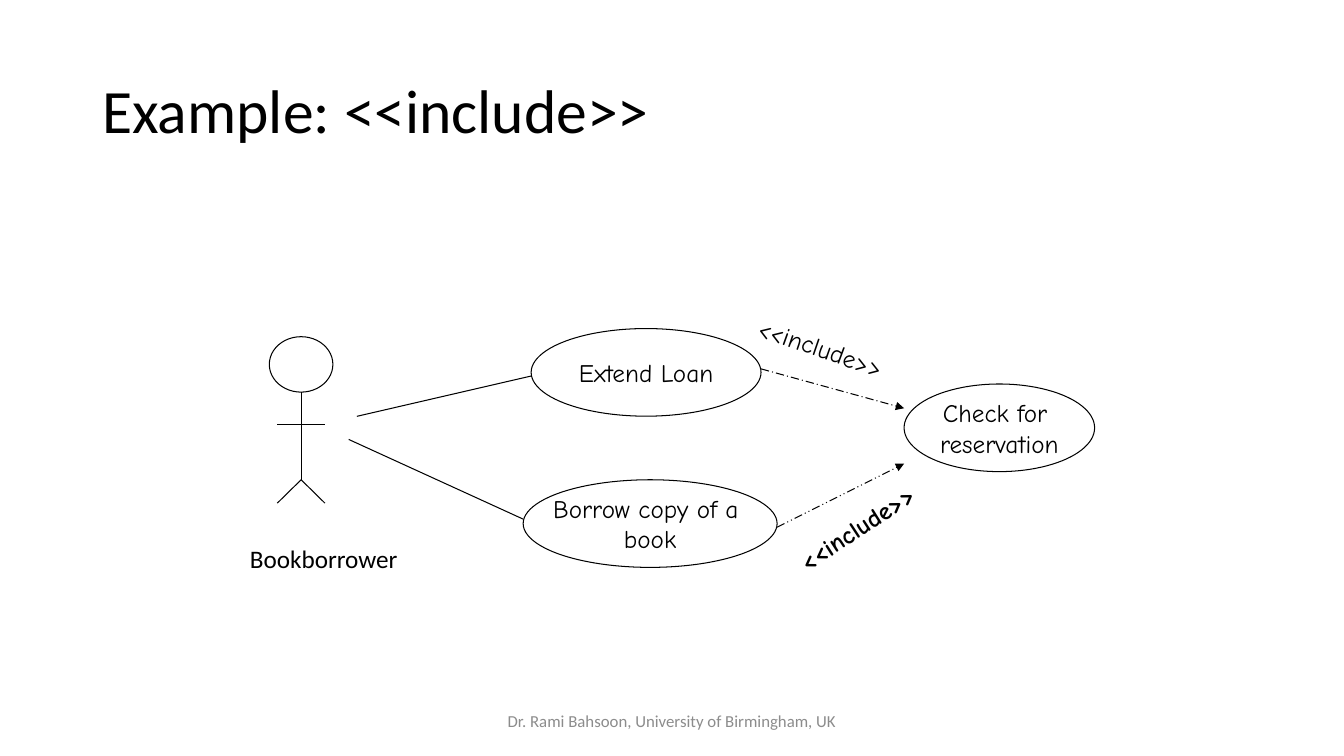
from lxml.etree import SubElement
from pptx import Presentation
from pptx.dml.color import RGBColor
from pptx.enum.dml import MSO_LINE
from pptx.enum.shapes import MSO_CONNECTOR, MSO_SHAPE
from pptx.enum.text import MSO_ANCHOR, MSO_AUTO_SIZE, PP_ALIGN
from pptx.oxml.ns import qn
from pptx.util import Pt

# Content: boxes are left, top, width, height in points
BLACK, WHITE, GREY = "000000", "FFFFFF", "8C8C8C"
HAND = {"name": "Comic Neue", "size": Pt(18)}
BODY = {"name": "Calibri", "size": Pt(18)}
TITLE = ("Example: <<include>>", (66, 28.8, 828, 104.4))
FOOTER = ("Dr. Rami Bahsoon, University of Birmingham, UK", (318, 500.4, 324, 28.8))
LABELS = [
    ("<<include>>", (557.3, 360, 117.4, 28.8), 326.7, HAND | {"bold": True}),
    ("<<include>>", (533, 235, 112, 28.8), 19.1, HAND),
    ("Bookborrower", (171.4, 384.5, 121, 28.8), 0, BODY),
]
CASE_HEIGHT = 62.6
USE_CASES = [
    (["Extend Loan"], 379.4, 234.7, 164.2),
    (["Borrow copy of a ", "book"], 373.7, 342.7, 181.4),
    (["Check for ", "reservation"], 645.8, 274.3, 136.1),
]
ASSOCIATIONS = [((254.9, 297.4), (379.4, 268.6)), ((249.1, 313.9), (373.7, 370.8))]
INCLUDES = [
    ((543.6, 263.5), (645.8, 291.6), MSO_LINE.LONG_DASH_DOT),
    ((555.1, 376.6), (645.8, 331.2), "lgDashDotDot"),
]
ACTOR = {"center": 215.1, "top": 240.5, "head": (45.4, 39.6),
         "arms": 303.1, "hips": 342.7, "feet": 359.4, "reach": 17}


def color(value):
    return RGBColor.from_string(value)


def write(shape, lines, font, ink=BLACK, align=PP_ALIGN.LEFT,
          anchor=MSO_ANCHOR.TOP, wrap=False, spacing=None):
    frame = shape.text_frame
    frame.word_wrap, frame.vertical_anchor = wrap, anchor
    for index, line in enumerate(lines):
        para = frame.add_paragraph() if index else frame.paragraphs[0]
        para.alignment, para.line_spacing = align, spacing
        span = para.add_run()
        span.text = line
        for name, value in font.items():
            setattr(span.font, name, value)
        span.font.color.rgb = color(ink)


def add_text(box, lines, font, **layout):
    shape = page.shapes.add_textbox(*map(Pt, box))
    write(shape, lines, font, **layout)
    return shape


def add_ellipse(box, fill=None):
    shape = page.shapes.add_shape(MSO_SHAPE.OVAL, *map(Pt, box))
    shape.shadow.inherit = False
    if fill:
        shape.fill.solid()
        shape.fill.fore_color.rgb = color(fill)
    else:
        shape.fill.background()
    shape.line.color.rgb, shape.line.width = color(BLACK), Pt(0.75)
    return shape


def add_line(start, end):
    line = page.shapes.add_connector(MSO_CONNECTOR.STRAIGHT, *map(Pt, start + end))
    line.line.color.rgb, line.line.width = color(BLACK), Pt(0.75)
    SubElement(line._element.spPr, qn("a:effectLst"))
    return line


deck = Presentation()
deck.slide_width, deck.slide_height = Pt(960), Pt(540)
page = deck.slides.add_slide(deck.slide_layouts[6])

# Title and footer
add_text(TITLE[1], [TITLE[0]], BODY | {"size": Pt(44)},
         anchor=MSO_ANCHOR.MIDDLE, wrap=True, spacing=0.9)
add_text(FOOTER[1], [FOOTER[0]], BODY | {"size": Pt(12)}, ink=GREY,
         align=PP_ALIGN.CENTER, anchor=MSO_ANCHOR.MIDDLE, wrap=True)

# Actor
center, reach = ACTOR["center"], ACTOR["reach"]
head_width, head_height = ACTOR["head"]
hips = (center, ACTOR["hips"])
add_ellipse((center - head_width / 2, ACTOR["top"], head_width, head_height), WHITE)
add_line((center, ACTOR["top"] + head_height), hips)
add_line((center - reach, ACTOR["arms"]), (center + reach, ACTOR["arms"]))
for side in (-reach, reach):
    add_line(hips, (center + side, ACTOR["feet"]))

# Associations and use cases
for start, end in ASSOCIATIONS:
    add_line(start, end)
for lines, left, top, width in USE_CASES:
    write(add_ellipse((left, top, width, CASE_HEIGHT)), lines, HAND,
          align=PP_ALIGN.CENTER, anchor=MSO_ANCHOR.MIDDLE)

# Include arrows
for start, end, dash in INCLUDES:
    outline = add_line(start, end).line
    if isinstance(dash, str):
        SubElement(outline._get_or_add_ln(), qn("a:prstDash"), val=dash)
    else:
        outline.dash_style = dash
    SubElement(outline._get_or_add_ln(), qn("a:tailEnd"), type="triangle")

# Labels
for text, box, angle, font in LABELS:
    label = add_text(box, [text], font)
    label.text_frame.auto_size = MSO_AUTO_SIZE.SHAPE_TO_FIT_TEXT
    label.rotation = angle

deck.save("out.pptx")
